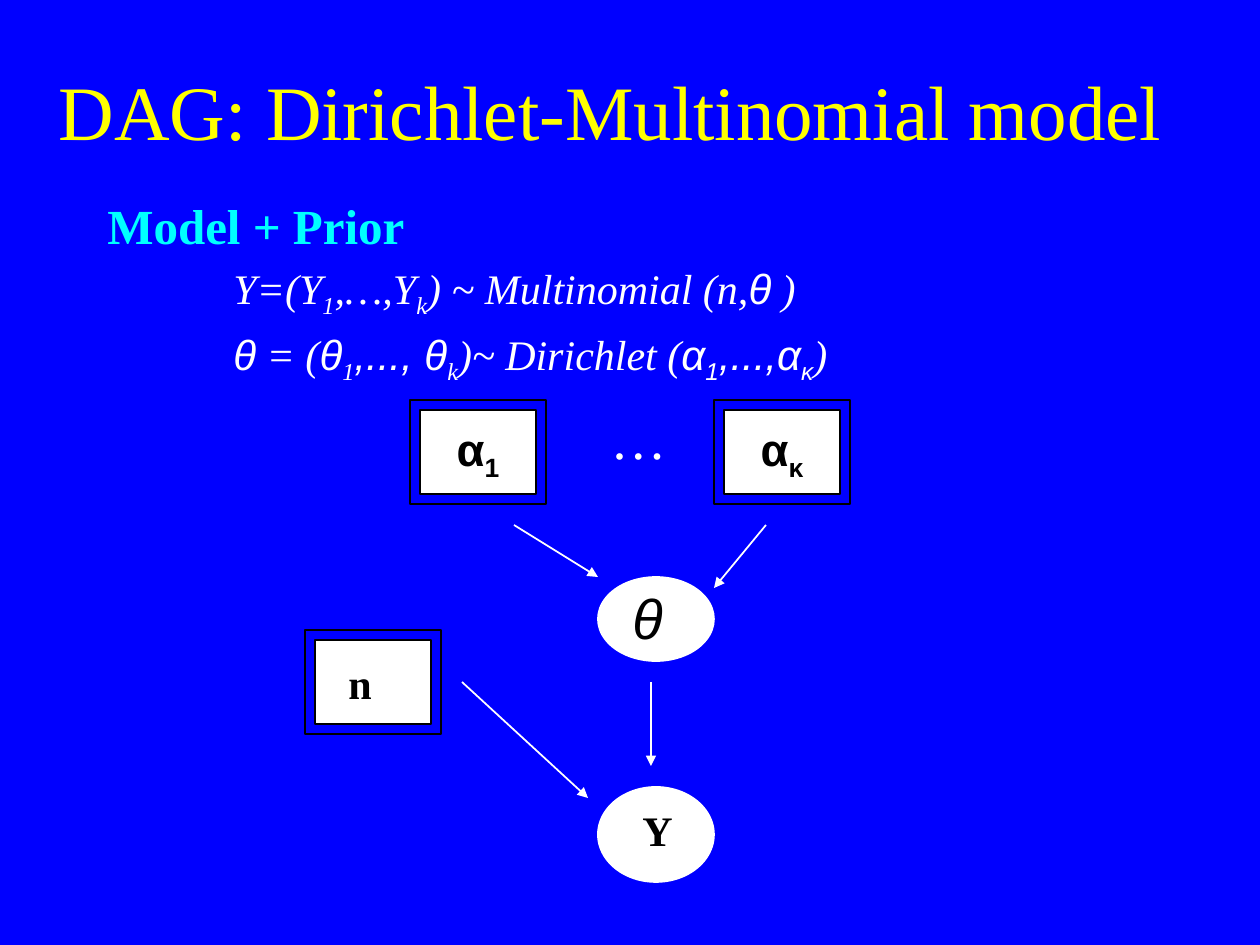
from lxml import etree
from pptx import Presentation
from pptx.dml.color import RGBColor
from pptx.enum.shapes import MSO_CONNECTOR, MSO_SHAPE
from pptx.enum.text import MSO_ANCHOR, PP_ALIGN
from pptx.oxml.ns import qn
from pptx.util import Emu, Pt

BLUE = RGBColor(0x00, 0x00, 0xFF)
YELLOW = RGBColor(0xFF, 0xFF, 0x00)
CYAN = RGBColor(0x00, 0xFF, 0xFF)
WHITE = RGBColor(0xFF, 0xFF, 0xFF)
BLACK = RGBColor(0x00, 0x00, 0x00)
SERIF, SANS = "Times New Roman", "Arial"
RECT, OVAL = MSO_SHAPE.RECTANGLE, MSO_SHAPE.OVAL
STRAIGHT = MSO_CONNECTOR.STRAIGHT
CENTER, LEFT = PP_ALIGN.CENTER, PP_ALIGN.LEFT
MIDDLE, TOP = MSO_ANCHOR.MIDDLE, MSO_ANCHOR.TOP
TITLE_ONLY = 5
FRAME_GAP = 10

# Formula runs: text, font, subscript
OUTCOME = [("Y=(Y", SERIF, False), ("1", SERIF, True), (",…,Y", SERIF, False),
           ("k", SERIF, True), (") ~ Multinomial (n,", SERIF, False),
           ("θ", SANS, False), (" )", SERIF, False)]
PRIOR = [("θ", SANS, False), (" = (", SERIF, False), ("θ", SANS, False),
         ("1", SERIF, True), (",..., θ", SANS, False), ("k", SERIF, True),
         (")~ Dirichlet (", SERIF, False), ("α", SANS, False),
         ("1", SANS, True), (",...,α", SANS, False), ("κ", SANS, True),
         (")", SERIF, False)]


def px(*values):
    return [Emu(round(v * 914400 / 126)) for v in values]


def add_run(p, text, size, font, color, bold=False, italic=False, sub=False):
    r = p.add_run()
    r.text = text
    f = r.font
    f.size, f.name, f.bold, f.italic = Pt(size), font, bold, italic
    f.color.rgb = color
    if sub:
        r._r.get_or_add_rPr().set("baseline", "-25000")


def add_text_box(slide, box):
    tf = slide.shapes.add_textbox(*px(*box)).text_frame
    tf.word_wrap = True
    return tf


def add_label(slide, box, text, size, font, color, **style):
    p = add_text_box(slide, box).paragraphs[0]
    add_run(p, text, size, font, color, **style)


def add_node(slide, kind, box, line, fill=None):
    sp = slide.shapes.add_shape(kind, *px(*box))
    sp.shadow.inherit = False
    sp.line.color.rgb = line
    sp.line.width = Pt(1)
    if fill is None:
        sp.fill.background()
    else:
        sp.fill.solid()
        sp.fill.fore_color.rgb = fill
    return sp


def add_constant(slide, x, y):
    """Draw the double-framed box of a fixed quantity."""
    w, h = 116, 84
    sp = add_node(slide, RECT, (x, y, w, h), BLACK, WHITE)
    add_node(slide, RECT, (x - FRAME_GAP, y - FRAME_GAP,
                           w + 2 * FRAME_GAP, h + 2 * FRAME_GAP), BLACK)
    return sp


def add_alpha(slide, x, y, index):
    tf = add_constant(slide, x, y).text_frame
    tf.word_wrap = False
    tf.vertical_anchor = MIDDLE
    p = tf.paragraphs[0]
    p.alignment = CENTER
    add_run(p, "α", 26, SANS, BLACK, bold=True)
    add_run(p, index, 26, SANS, BLACK, bold=True, sub=True)


def add_arrow(slide, *ends):
    cx = slide.shapes.add_connector(STRAIGHT, *px(*ends))
    cx.line.color.rgb = WHITE
    cx.line.width = Pt(1)
    etree.SubElement(cx.line._get_or_add_ln(), qn("a:tailEnd"), type="triangle")
    etree.SubElement(cx._element.spPr, qn("a:effectLst"))


def add_title(slide, text):
    title = slide.shapes.title
    title.left, title.top, title.width, title.height = px(2, 42, 1218, 136)
    tf = title.text_frame
    tf.vertical_anchor = MIDDLE
    p = tf.paragraphs[0]
    p.alignment = CENTER
    add_run(p, text, 44, SERIF, YELLOW)


def add_model(slide):
    tf = add_text_box(slide, (95, 189, 1112, 210))
    tf.vertical_anchor = TOP
    add_run(tf.paragraphs[0], "Model + Prior", 28, SERIF, CYAN, bold=True)
    for formula in (OUTCOME, PRIOR):
        p = tf.add_paragraph()
        p.alignment = LEFT
        p.space_before = Pt(4.8)
        p._p.get_or_add_pPr().set("marL", str(px(126)[0]))
        for text, font, sub in formula:
            add_run(p, text, 24, font, WHITE, italic=True, sub=sub)


def main():
    prs = Presentation()
    prs.slide_width, prs.slide_height = px(1260, 945)
    slide = prs.slides.add_slide(prs.slide_layouts[TITLE_ONLY])
    slide.background.fill.solid()
    slide.background.fill.fore_color.rgb = BLUE

    add_title(slide, "DAG: Dirichlet-Multinomial model")
    add_model(slide)

    add_alpha(slide, 420, 410, "1")
    add_label(slide, (598, 397, 90, 76), "…", 32, SERIF, WHITE)
    add_alpha(slide, 724, 410, "κ")
    add_constant(slide, 315, 640)
    add_label(slide, (336, 651, 63, 63), "n", 24, SERIF, BLACK, bold=True)
    add_node(slide, OVAL, (598, 577, 116, 84), WHITE, WHITE)
    add_label(slide, (620, 577, 63, 79), "θ", 32, SANS, BLACK, italic=True)
    add_node(slide, OVAL, (598, 787, 116, 95), WHITE, WHITE)
    add_label(slide, (630, 798, 63, 63), "Y", 24, SERIF, BLACK, bold=True)

    add_arrow(slide, 514, 525, 598, 577)
    add_arrow(slide, 766, 525, 714, 588)
    add_arrow(slide, 651, 682, 651, 766)
    add_arrow(slide, 462, 682, 588, 798)
    prs.save("out.pptx")


if __name__ == "__main__":
    main()
